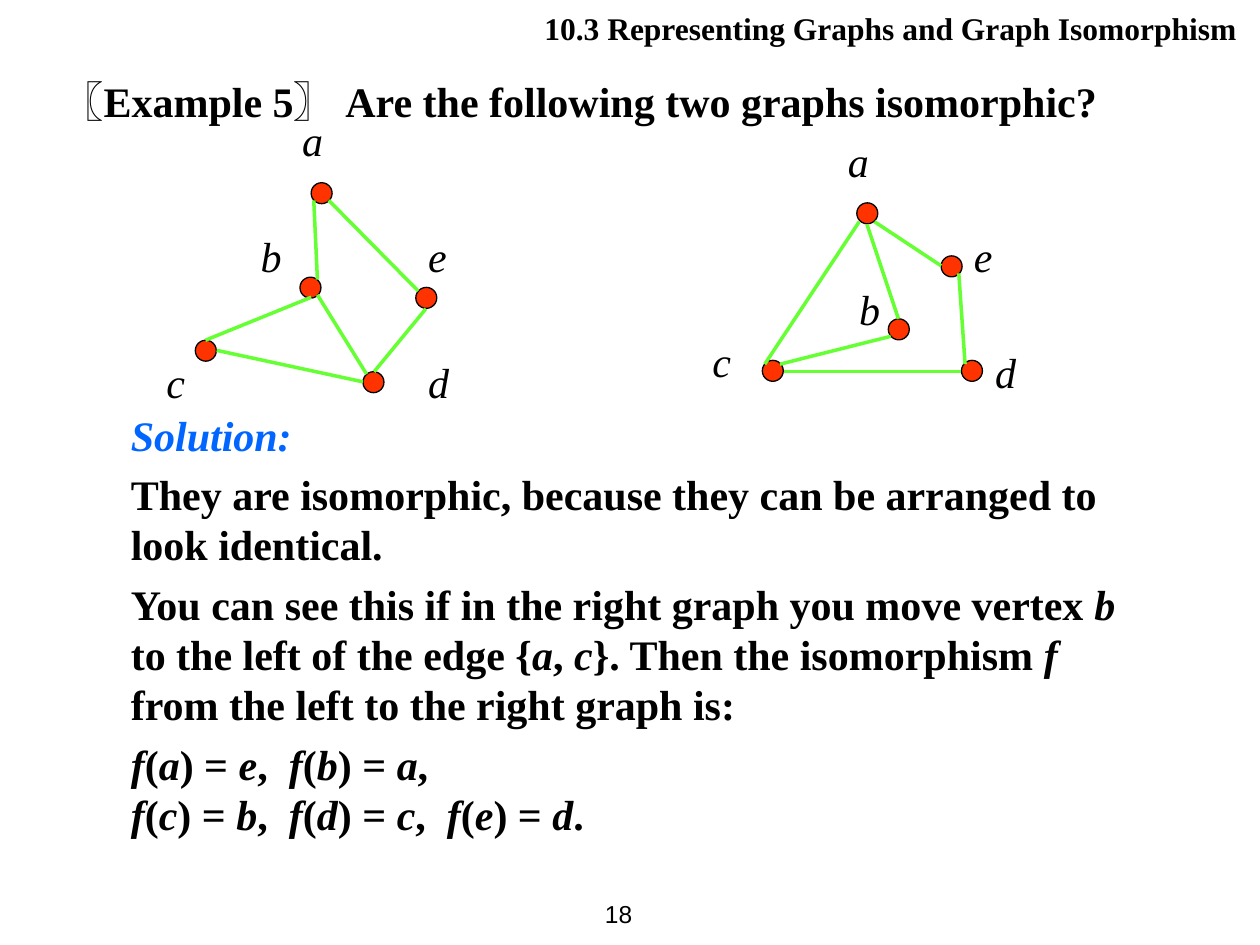
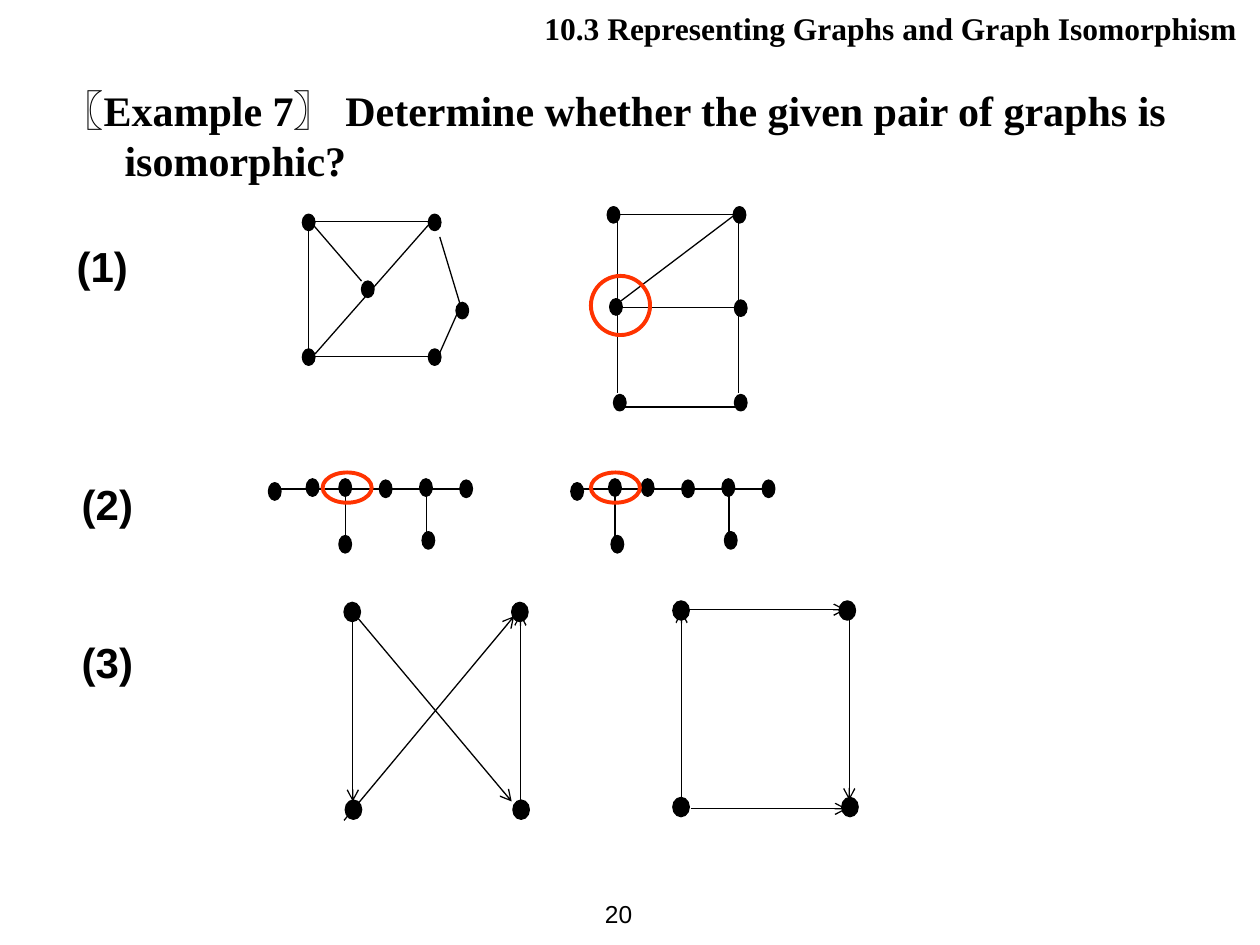
from lxml import etree
from pptx import Presentation
from pptx import util as u
from pptx.dml.color import RGBColor
from pptx.enum import shapes, text
from pptx.oxml import ns

Pt = u.Pt
COLORS = {"ink": "000000", "solution": "0066FF", "vertex": "FF3300",
          "edge": "66FF33", "ring": "FF3300"}
SERIF, SANS = "Times New Roman", "Arial"
HEADER = "10.3 Representing Graphs and Graph Isomorphism"
DOT = shapes.MSO_SHAPE.FLOWCHART_CONNECTOR


def rgb(name):
    return RGBColor.from_string(COLORS[name])


def write(p, content, size=24, font=SERIF, color="ink", bold=False, italic=False):
    """Add text to a paragraph; *...* switches italics, a newline breaks the line."""
    for i, part in enumerate(content.split("*")):
        for j, line in enumerate(part.split("\n")):
            if j:
                p.add_line_break()
            if line:
                r = p.add_run()
                r.text = line
                f = r.font
                f.size, f.name, f.bold = Pt(size), font, bold
                f.italic = italic != bool(i % 2)
                f.color.rgb = rgb(color)


def add_box(parent, left, top, width, height):
    sp = parent.shapes.add_textbox(Pt(left), Pt(top), Pt(width), Pt(height))
    tf = sp.text_frame
    tf.word_wrap = True
    return tf


def add_dot(parent, left, top, width, height, color="ink"):
    sp = parent.shapes.add_shape(DOT, Pt(left), Pt(top), Pt(width), Pt(height))
    sp.shadow.inherit = False
    sp.fill.solid()
    sp.fill.fore_color.rgb = rgb(color)
    sp.line.color.rgb = rgb("ink")
    sp.line.width = Pt(0.75)


def add_edge(parent, x1, y1, x2, y2, color="ink", weight=0.75, arrow=False):
    line = parent.shapes.add_connector(shapes.MSO_CONNECTOR.STRAIGHT,
                                       Pt(x1), Pt(y1), Pt(x2), Pt(y2))
    line.line.color.rgb = rgb(color)
    line.line.width = Pt(weight)
    if arrow:
        etree.SubElement(line.line._get_or_add_ln(), ns.qn("a:tailEnd"), type="arrow")
    etree.SubElement(line._element.spPr, ns.qn("a:effectLst"))


def add_ring(s, left, top, width, height):
    sp = s.shapes.add_shape(shapes.MSO_SHAPE.OVAL, Pt(left), Pt(top), Pt(width), Pt(height))
    sp.shadow.inherit = False
    sp.fill.background()
    sp.line.color.rgb = rgb("ring")
    sp.line.width = Pt(2.25)


def draw_graph(s, origin, dots, edges, dot_size, dot_color="ink", labels=(), **edge_format):
    """Draw one grouped graph, its parts measured from origin."""
    x, y = origin
    group = s.shapes.add_group_shape()
    for dx, dy in dots:
        add_dot(group, x + dx, y + dy, *dot_size, color=dot_color)
    for name, dx, dy, width in labels:
        tf = add_box(group, x + dx, y + dy, width, 36)
        write(tf.paragraphs[0], name, italic=True)
    for x1, y1, x2, y2 in edges:
        add_edge(group, x + x1, y + y1, x + x2, y + y2, **edge_format)


def add_frame(prs, example, question, number, top, height):
    """Start a slide with its title, running header and page number."""
    s = prs.slides.add_slide(prs.slide_layouts[5])
    title = s.shapes.title
    title.left, title.top, title.width, title.height = Pt(28), Pt(top), Pt(658), Pt(height)
    tf = title.text_frame
    tf.word_wrap = True
    tf.auto_size = text.MSO_AUTO_SIZE.NONE
    tf.vertical_anchor = text.MSO_ANCHOR.TOP
    p = tf.paragraphs[0]
    p.alignment = text.PP_ALIGN.LEFT
    pPr = p._p.get_or_add_pPr()
    pPr.set("marL", str(Pt(36)))
    pPr.set("indent", str(Pt(-36)))
    for content, font in (("〖", SANS), (example, SERIF), ("〗 ", SANS), (question, SERIF)):
        write(p, content, font=font, bold=True)

    # Page number
    tf = add_box(s, 320.4, 504, 48, 36)
    tf.word_wrap = False
    tf.vertical_anchor = text.MSO_ANCHOR.MIDDLE
    tf.paragraphs[0].alignment = text.PP_ALIGN.RIGHT
    write(tf.paragraphs[0], number, size=14, font=SANS)

    # Running header
    tf = add_box(s, 292.3, -4.3, 427.7, 36)
    tf.margin_top, tf.margin_right = Pt(9.5), Pt(13.2)
    tf.paragraphs[0].alignment = text.PP_ALIGN.RIGHT
    write(tf.paragraphs[0], HEADER, size=18, bold=True)
    return s


def add_solution(s, box):
    tf = add_box(s, *box)
    write(tf.paragraphs[0], "Solution:", color="solution", bold=True, italic=True)
    for content in (
            "They are isomorphic, because they can be arranged to look identical.",
            "You can see this if in the right graph you move vertex *b* to the left of the "
            "edge {*a*, *c*}. Then the isomorphism *f* from the left to the right graph is:",
            "*f*(*a*) = *e*,  *f*(*b*) = *a*, \n"
            "*f*(*c*) = *b*,  *f*(*d*) = *c*,  *f*(*e*) = *d*."):
        p = tf.add_paragraph()
        p.space_before = Pt(5)
        write(p, content, bold=True)


def example_5(prs):
    s = add_frame(prs, "Example 5", "Are the following two graphs isomorphic?", "18", 39.6, 36)
    add_solution(s, (67.7, 230.4, 578.2, 270))
    style = dict(dot_size=(12, 12), dot_color="vertex", color="edge", weight=2)

    # Left graph
    draw_graph(
        s, (88, 62),
        dots=[(119.4, 150.4), (23.6, 132.4), (83.4, 96.4), (149.6, 102.2), (89.8, 42.4)],
        labels=[("a", 77.6, 0, 48), ("b", 53.8, 66.2, 24), ("c", 0, 138.2, 30),
                ("d", 149.6, 138.2, 48), ("e", 149.6, 66.2, 48)],
        edges=[(125.8, 150.4, 155.4, 114.4), (119.4, 156.2, 35.8, 138.2),
               (29.4, 132.4, 89.8, 107.9), (93.4, 97.8, 91.3, 52.5),
               (99.9, 52.5, 151, 104.3), (93.4, 106.5, 121.5, 151.8)], **style)

    # Right graph
    draw_graph(
        s, (400, 74),
        dots=[(35.6, 131.9), (107.6, 108.2), (89.6, 41.9), (149.4, 131.9), (137.8, 72.2)],
        labels=[("a", 77.4, 0, 48), ("b", 83.8, 84.4, 24), ("c", 0, 113.9, 30),
                ("d", 161.6, 120.4, 48), ("e", 149.4, 54.2, 48)],
        edges=[(47.8, 138.4, 149.4, 138.4), (45.7, 134.1, 109, 118.2),
               (113.4, 108.2, 95.4, 54.2), (99.7, 52.7, 137.8, 77.9),
               (147.9, 82.2, 151.5, 134.1), (91, 52.7, 37, 134.1)], **style)


def draw_tree(s, origin, branch_dot, branch_line, ring_left):
    """Draw a chain of six vertices with two hanging ones, and ring one vertex."""
    chain = [(0, 5.8), (21.6, 3.6), (40.3, 3.6), (63.4, 4.3), (86.4, 3.6), (109.4, 4.3)]
    edges = [(5.8, 9.4, 109.4, 9.4)]
    edges += [(x, 9.4, x, 36) for x in (branch_line, 90.4)]
    draw_graph(s, origin, chain + [(87.8, 33.8), (branch_dot, 36)], edges, (7.2, 10))
    add_ring(s, origin[0] + ring_left, origin[1], 28, 17.3)


def example_7(prs):
    s = add_frame(prs, "Example 7", "Determine whether the given pair of graphs is isomorphic?",
                  "20", 44.6, 64.8)

    # Row numbers
    for number, left, top in (("(1)", 36.7, 133.9), ("(2)", 39.6, 270), ("(3)", 39.6, 360)):
        tf = add_box(s, left, top, 658, 36)
        write(tf.paragraphs[0], number, font=SANS, bold=True)

    # Row 1: simple graphs
    small = (7.2, 9.4)
    draw_graph(
        s, (172.8, 122.4), dot_size=small,
        dots=[(0, 0), (72, 0), (0, 77), (72, 77), (87.8, 50.4), (33.8, 38.2)],
        edges=[(6.5, 4.3, 74.2, 4.3), (3.6, 2.2, 3.6, 79.2), (6.5, 6.5, 33.8, 38.2),
               (74.9, 2.9, 7.2, 79.9), (5.8, 81.4, 73.4, 81.4),
               (78.5, 13, 90, 51.1), (90, 53.3, 78.5, 79.2)])
    draw_graph(
        s, (347, 118.1), dot_size=small,
        dots=[(0, 0), (72, 0), (3.6, 107.3), (72.7, 107.3), (72.7, 53.3), (1.4, 52.6)],
        edges=[(6.5, 4.3, 74.2, 4.3), (9.4, 114.5, 77, 114.5), (5.8, 4.3, 5.8, 106.6),
               (74.9, 4.3, 74.9, 106.6), (5.8, 57.6, 73.4, 57.6), (73.4, 4.3, 5.8, 55.4)])
    add_ring(s, 337.7, 157.7, 33.8, 33.8)

    # Row 2: trees
    draw_tree(s, (153.4, 270), branch_dot=40.3, branch_line=43.9, ring_left=31)
    draw_tree(s, (326.2, 270), branch_dot=23, branch_line=25.2, ring_left=11.5)

    # Row 3: directed graphs
    large = (9.4, 11)
    draw_graph(
        s, (196.6, 344.2), dot_size=large, arrow=True,
        dots=[(0, 0), (95.8, 0), (0.7, 113), (96.5, 113)],
        edges=[(5, 6.5, 5, 113.8), (5.8, 6.5, 95.8, 113.8),
               (0, 124.6, 97.2, 7.9), (100.8, 113.8, 100.8, 6.5)])
    draw_graph(
        s, (384.5, 343.4), dot_size=large, arrow=True,
        dots=[(0, 0), (95, 0), (0, 112.3), (96.5, 112.3)],
        edges=[(8.6, 5, 98.6, 5), (10.1, 118.8, 99.4, 118.8),
               (100.8, 5.8, 100.8, 113.8), (5, 113.8, 5, 5.8)])


def main():
    prs = Presentation()
    prs.slide_width, prs.slide_height = Pt(720), Pt(540)
    example_5(prs)
    example_7(prs)
    prs.save("out.pptx")


if __name__ == "__main__":
    main()
